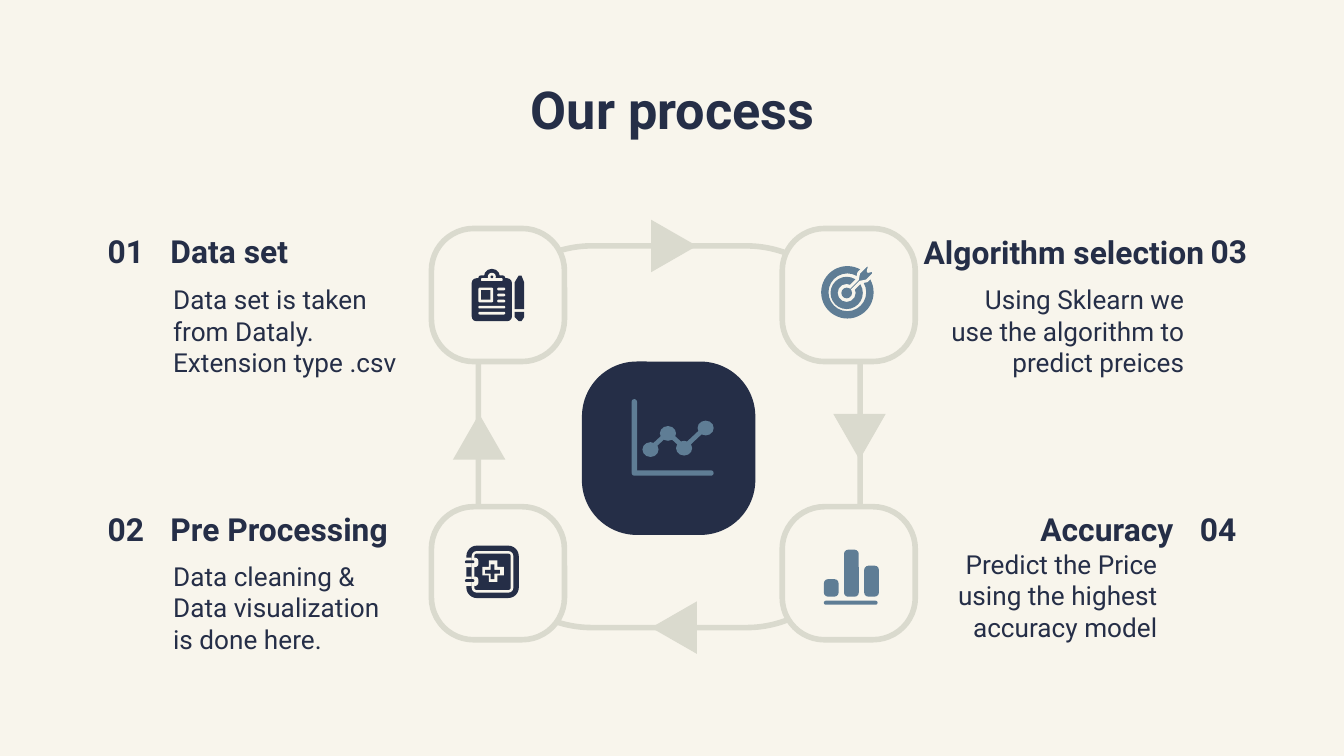
import itertools

import pptx
import pptx.util
import pptx.dml.color
import pptx.enum.shapes
import pptx.enum.text
import pptx.oxml.ns
from lxml import etree

Inches = pptx.util.Inches
Pt = pptx.util.Pt
MSO_SHAPE = pptx.enum.shapes.MSO_SHAPE
PP_ALIGN = pptx.enum.text.PP_ALIGN
MSO_ANCHOR = pptx.enum.text.MSO_ANCHOR

FONT = "Roboto"
COLORS = {"cream": "F8F5EC", "stone": "DADACE", "navy": "252E47", "steel": "5F7D95"}


def color(name):
    return pptx.dml.color.RGBColor.from_string(COLORS[name])


def paint(shape, fill=None, line=None, weight=3):
    """Set fill and outline, each a colour name or None for nothing."""
    shape.shadow.inherit = False
    if fill:
        shape.fill.solid()
        shape.fill.fore_color.rgb = color(fill)
    else:
        shape.fill.background()
    if line:
        shape.line.color.rgb = color(line)
        shape.line.width = Pt(weight)
    else:
        shape.line.fill.background()


def add_shape(parent, kind, frame, fill=None, line=None, adjust=None):
    shape = parent.shapes.add_shape(kind, *(Inches(value) for value in frame))
    if adjust is not None:
        shape.adjustments[0] = adjust
    paint(shape, fill, line)
    return shape


def add_rounded(parent, frame, fill=None, line=None, adjust=0.317):
    return add_shape(parent, MSO_SHAPE.ROUNDED_RECTANGLE, frame, fill, line, adjust)


def add_polygon(parent, points, fill, line=None, weight=1):
    """Draw a closed outline; the builder takes whole numbers, so it gets hundredths."""
    hundredths = [(round(x * 100), round(y * 100)) for x, y in points]
    builder = parent.shapes.build_freeform(*hundredths[0], scale=Inches(0.01))
    builder.add_line_segments(hundredths[1:], close=True)
    paint(builder.convert_to_shape(), fill, line, weight)


def add_line(parent, start, end, name, weight):
    line = parent.shapes.add_connector(
        pptx.enum.shapes.MSO_CONNECTOR.STRAIGHT,
        *(Inches(value) for value in (*start, *end)))
    line.line.color.rgb = color(name)
    line.line.width = Pt(weight)
    etree.SubElement(line._element.spPr, pptx.oxml.ns.qn("a:effectLst"))


def add_text(page, frame, lines, size, bold=False, align=PP_ALIGN.LEFT, anchor=MSO_ANCHOR.MIDDLE):
    box = page.shapes.add_textbox(*(Inches(value) for value in frame))
    text = box.text_frame
    text.word_wrap = True
    text.vertical_anchor = anchor
    text.margin_left = text.margin_right = Inches(0.1)
    text.margin_top = text.margin_bottom = Inches(0.1)
    for index, line in enumerate(lines):
        para = text.paragraphs[0] if index == 0 else text.add_paragraph()
        para.alignment = align
        span = para.add_run()
        span.text = line
        span.font.name = FONT
        span.font.size = Pt(size)
        span.font.bold = bold
        span.font.color.rgb = color("navy")


def add_step(page, number, number_at, heading, heading_at, lines, body_frame, align):
    """Number, heading and body; the number is aligned towards its heading."""
    towards = PP_ALIGN.RIGHT if align == PP_ALIGN.LEFT else PP_ALIGN.LEFT
    add_text(page, (*heading_at, 2.37, 0.39), [heading], 17, True, align)
    add_text(page, body_frame, lines, 14, False, align, MSO_ANCHOR.TOP)
    add_text(page, (*number_at, 0.52, 0.39), [number], 17, True, towards)


def add_cycle(page):
    add_rounded(page, (3.56, 1.83, 2.84, 2.84), line="stone", adjust=0.298)
    for left, top in itertools.product((3.21, 5.82), (1.7, 3.77)):
        add_rounded(page, (left, top, 0.99, 0.99), "cream", "stone")
    add_rounded(page, (4.33, 2.69, 1.29, 1.29), "navy")
    for left, top, turn in ((4.82, 1.66, 90), (6.2, 3.08, 180), (4.82, 4.5, 270), (3.37, 3.08, 0)):
        arrow = add_shape(page, MSO_SHAPE.ISOSCELES_TRIANGLE, (left, top, 0.39, 0.34), "stone")
        arrow.rotation = turn


def add_clipboard_icon(icon):
    add_rounded(icon, (3.51, 2.07, 0.3, 0.32), "navy", adjust=0.12)
    add_shape(icon, MSO_SHAPE.OVAL, (3.6, 2, 0.12, 0.12), "navy")
    add_rounded(icon, (3.56, 2.05, 0.2, 0.06), "navy", adjust=0.3)
    add_rounded(icon, (3.58, 2.07, 0.16, 0.02), "cream", adjust=0.3)
    add_shape(icon, MSO_SHAPE.OVAL, (3.63, 2.03, 0.06, 0.06), "cream")
    add_shape(icon, MSO_SHAPE.OVAL, (3.65, 2.05, 0.02, 0.02), "navy")
    add_rounded(icon, (3.56, 2.14, 0.11, 0.11), "cream", adjust=0.1)
    add_shape(icon, MSO_SHAPE.RECTANGLE, (3.58, 2.16, 0.07, 0.07), "navy")
    for row in range(5):
        left, width = (3.7, 0.06) if row < 3 else (3.56, 0.2)
        add_rounded(icon, (left, 2.14 + 0.045 * row, width, 0.02), "cream", adjust=0.5)
    add_polygon(icon, [(3.86, 2.05), (3.88, 2.05), (3.9, 2.1), (3.9, 2.3),
                       (3.83, 2.3), (3.83, 2.1)], "navy")
    add_polygon(icon, [(3.83, 2.32), (3.9, 2.32), (3.9, 2.36), (3.88, 2.39),
                       (3.86, 2.39), (3.83, 2.36)], "navy")


def add_notebook_icon(icon):
    for inset, fill, adjust in ((0, "navy", 0.2), (0.04, "cream", 0.12), (0.06, "navy", 0.06)):
        side = 0.39 - 2 * inset
        add_rounded(icon, (3.47 + inset, 4.06 + inset, side, side), fill, adjust=adjust)
    for top in (4.15, 4.29):
        add_shape(icon, MSO_SHAPE.RECTANGLE, (3.46, top, 0.05, 0.07), "cream")
        add_rounded(icon, (3.51, top, 0.05, 0.07), "cream", adjust=0.5)
        add_rounded(icon, (3.46, top + 0.02, 0.07, 0.02), "navy", adjust=0.5)
    add_shape(icon, MSO_SHAPE.CROSS, (3.59, 4.17, 0.16, 0.16), "cream", adjust=0.3)
    add_shape(icon, MSO_SHAPE.CROSS, (3.61, 4.2, 0.11, 0.11), "navy", adjust=0.37)


def add_target_icon(icon):
    for left, top, side, ring in ((6.11, 1.98, 0.39, 0.14), (6.18, 2.06, 0.24, 0.22)):
        add_shape(icon, MSO_SHAPE.DONUT, (left, top, side, side), "steel", adjust=ring)
    add_polygon(icon, [(6.3, 2.16), (6.38, 2.08), (6.39, 2.03), (6.45, 1.97), (6.47, 1.98),
                       (6.46, 2.02), (6.5, 2.01), (6.5, 2.04), (6.45, 2.09), (6.4, 2.1),
                       (6.32, 2.18)], "steel", "cream", 1.5)
    add_shape(icon, MSO_SHAPE.OVAL, (6.26, 2.14, 0.08, 0.08), "steel")


def add_bars_icon(icon):
    for left, top in ((6.13, 4.31), (6.28, 4.09), (6.43, 4.21)):
        add_rounded(icon, (left, top, 0.11, 4.44 - top), "steel", adjust=0.28)
    add_rounded(icon, (6.13, 4.47, 0.4, 0.03), "steel", adjust=0.5)


def add_trend_icon(icon):
    add_rounded(icon, (4.7, 2.97, 0.04, 0.56), "steel", adjust=0.5)
    add_rounded(icon, (4.7, 3.5, 0.61, 0.04), "steel", adjust=0.5)
    points = [(4.84, 3.34), (4.97, 3.22), (5.09, 3.33), (5.25, 3.18)]
    for start, end in zip(points, points[1:]):
        add_line(icon, start, end, "steel", 2.5)
    for x, y in points:
        add_shape(icon, MSO_SHAPE.OVAL, (x - 0.06, y - 0.05, 0.12, 0.11), "steel")


def main():
    deck = pptx.Presentation()
    deck.slide_width = Inches(10)
    deck.slide_height = deck.slide_width * 9 // 16
    page = deck.slides.add_slide(deck.slide_layouts[6])
    page.background.fill.solid()
    page.background.fill.fore_color.rgb = color("cream")

    add_cycle(page)
    add_text(page, (0.79, 0.49, 8.43, 0.63), ["Our process"], 28, True, PP_ALIGN.CENTER)
    add_step(page, "01", (0.65, 1.67), "Data set", (1.17, 1.67),
             ["Data set is taken from Dataly.", "Extension type .csv"],
             (1.19, 2.01, 1.87, 0.88), PP_ALIGN.LEFT)
    add_step(page, "02", (0.65, 3.74), "Pre Processing", (1.17, 3.74),
             ["Data cleaning &", "Data visualization is done here."],
             (1.19, 4.07, 1.87, 0.9), PP_ALIGN.LEFT)
    add_step(page, "03", (8.91, 1.67), "Algorithm selection", (6.69, 1.68),
             ["Using Sklearn we use the algorithm to predict preices"],
             (6.94, 2.01, 1.97, 0.88), PP_ALIGN.RIGHT)
    add_step(page, "04", (8.83, 3.74), "Accuracy", (6.46, 3.74),
             ["Predict the Price using the highest accuracy model"],
             (6.77, 3.98, 1.94, 0.79), PP_ALIGN.RIGHT)

    for add_icon in (add_clipboard_icon, add_notebook_icon, add_target_icon,
                     add_bars_icon, add_trend_icon):
        add_icon(page.shapes.add_group_shape())
    deck.save("out.pptx")


if __name__ == "__main__":
    main()
